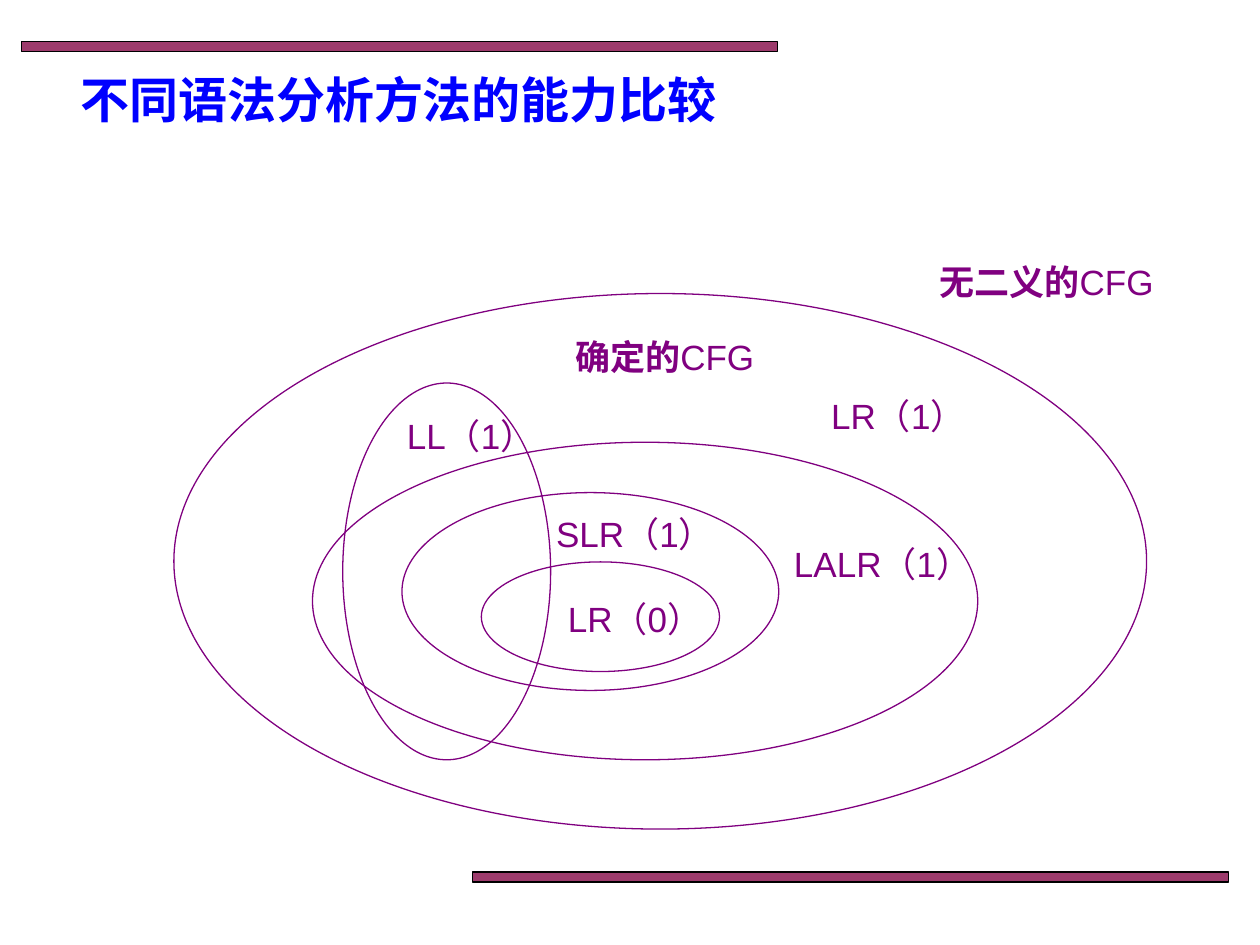
from lxml.etree import SubElement
from pptx import Presentation
from pptx.dml.color import RGBColor
from pptx.enum.shapes import MSO_SHAPE as Shape
from pptx.enum.text import MSO_ANCHOR as Anchor, MSO_AUTO_SIZE as AutoSize, PP_ALIGN as Align
from pptx.oxml.ns import qn
from pptx.util import Inches, Pt

WIDTH, HEIGHT = 10, 7.5
LATIN, CJK = "Arial", "Noto Sans CJK SC"
PURPLE, PLUM, BLUE, BLACK = "800080", "993366", "0000FF", "000000"
LABEL_HEIGHT = 0.43

# Grammar classes from the innermost outwards: left, top, width, height
CLASS_OUTLINES = [
    (3.82, 4.46, 1.89, 0.87),  # LR(0)
    (3.19, 3.91, 2.99, 1.57),  # SLR(1)
    (2.48, 3.51, 5.28, 2.52),  # LALR(1)
    (1.38, 2.33, 7.72, 4.25),  # LR(1)
    (2.72, 3.04, 1.65, 2.99),  # LL(1)
]
# Labels: left, top, width, bold part, plain part
CLASS_LABELS = [
    (4.37, 4.69, 1.34, "", "LR（0）"),
    (4.29, 4.02, 1.5, "", "SLR（1）"),
    (6.18, 4.26, 1.65, "", "LALR（1）"),
    (6.42, 3.08, 1.42, "", "LR（1）"),
    (3.03, 3.24, 1.42, "", "LL（1）"),
    (4.37, 2.61, 1.81, "确定的", "CFG"),
    (7.28, 2.02, 2.05, "无二义的", "CFG"),
]


def color(value):
    return RGBColor.from_string(value)


def add_outline(slide, kind, box, line):
    shape = slide.shapes.add_shape(kind, *map(Inches, box))
    shape.shadow.inherit = False
    shape.fill.background()
    shape.line.color.rgb = color(line)
    shape.line.width = Pt(0.75)
    return shape


def add_bar(slide, left, top):
    bar = add_outline(slide, Shape.RECTANGLE, (left, top, 0.6 * WIDTH, 0.08), BLACK)
    bar.fill.solid()
    bar.fill.fore_color.rgb = color(PLUM)
    fill = bar.fill._xPr.find(qn("a:solidFill"))
    SubElement(fill[0], qn("a:alpha"), val="96000")


def add_text(slide, box, runs, size, font, font_color, align):
    """Add one paragraph; runs are (text, bold) pairs."""
    frame = slide.shapes.add_textbox(*map(Inches, box)).text_frame
    frame.word_wrap = True
    frame.auto_size = AutoSize.NONE
    frame.vertical_anchor = Anchor.TOP
    paragraph = frame.paragraphs[0]
    paragraph.alignment = align
    for text, bold in runs:
        run = paragraph.add_run()
        run.text = text
        run.font.size = Pt(size)
        run.font.bold = bold
        run.font.name = font
        run.font.color.rgb = color(font_color)
        SubElement(run._r.get_or_add_rPr(), qn("a:ea"), typeface=CJK)
    return frame


def add_label(slide, left, top, width, bold_part, plain_part):
    runs = [(text, bold) for text, bold in ((bold_part, True), (plain_part, False)) if text]
    frame = add_text(slide, (left, top, width, LABEL_HEIGHT), runs, 20, LATIN, PURPLE, Align.CENTER)
    frame.auto_size = AutoSize.SHAPE_TO_FIT_TEXT


def main():
    presentation = Presentation()
    presentation.slide_width, presentation.slide_height = Inches(WIDTH), Inches(HEIGHT)
    slide = presentation.slides.add_slide(presentation.slide_layouts[6])

    # Decorative bars
    add_bar(slide, 0.17, 0.33)
    add_bar(slide, 3.75, 6.92)

    # Title
    add_text(slide, (0.54, 0.5, 8.52, 1.25), [("不同语法分析方法的能力比较", True)],
             28, CJK, BLUE, Align.LEFT)

    # Nested grammar classes and their labels
    for box in CLASS_OUTLINES:
        add_outline(slide, Shape.OVAL, box, PURPLE)
    for label in CLASS_LABELS:
        add_label(slide, *label)

    presentation.save("out.pptx")


if __name__ == "__main__":
    main()
